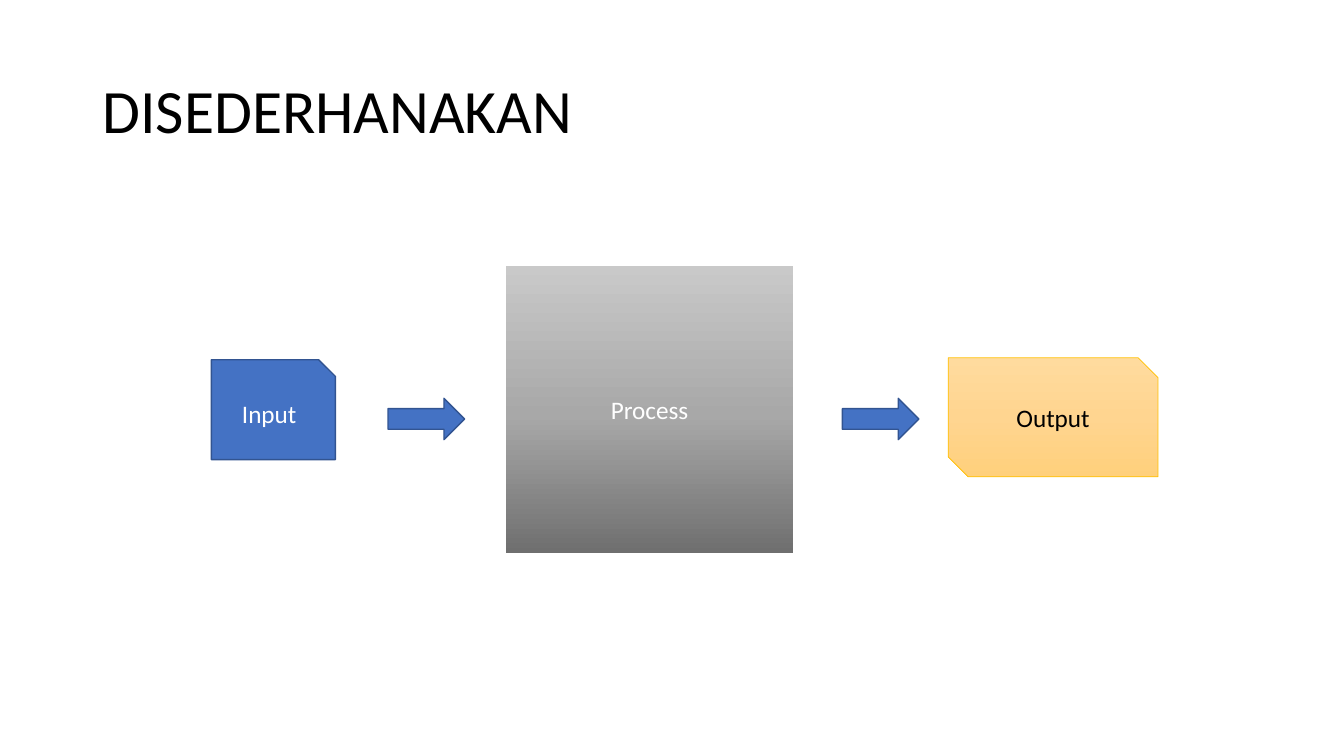
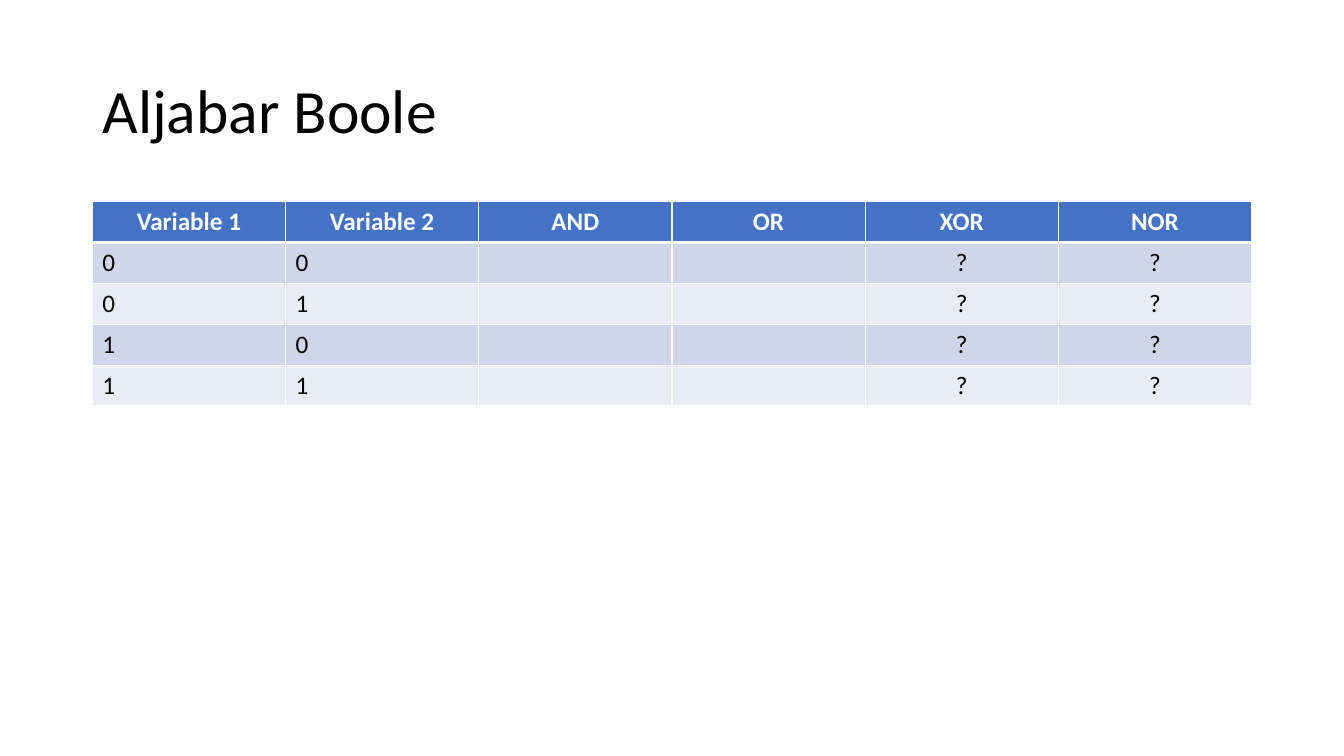
from lxml.etree import SubElement
from pptx import Presentation
from pptx.dml.color import RGBColor
from pptx.enum.shapes import MSO_SHAPE as Shape
from pptx.enum.text import MSO_ANCHOR as Anchor, MSO_AUTO_SIZE as AutoSize, PP_ALIGN as Align
from pptx.oxml.ns import qn
from pptx.util import Pt

FONT = "Calibri"
BLACK = RGBColor(0x00, 0x00, 0x00)
WHITE = RGBColor(0xFF, 0xFF, 0xFF)
BLUE = RGBColor(0x44, 0x72, 0xC4)
DARK_BLUE = RGBColor(0x32, 0x54, 0x91)
GOLD = RGBColor(0xFF, 0xC0, 0x00)
BAND_DARK = RGBColor(0xCF, 0xD5, 0xEA)
BAND_LIGHT = RGBColor(0xE9, 0xEB, 0xF5)
GRAYS = ((0, RGBColor(0x6F, 0x6F, 0x6F)), (48, RGBColor(0xA8, 0xA8, 0xA8)),
         (100, RGBColor(0xC9, 0xC9, 0xC9)))
AMBERS = ((0, RGBColor(0xFF, 0xDB, 0x9E)), (50, RGBColor(0xFF, 0xD5, 0x90)),
          (100, RGBColor(0xFF, 0xD0, 0x7C)))

MARGIN, CONTENT_WIDTH = 66, 828
TITLE_BOX = (MARGIN, 28.75, CONTENT_WIDTH, 104.4)
FLOW_ORIGIN = (151, 190)
TABLE_BOX = (MARGIN, 144, CONTENT_WIDTH, 146)

HEADERS = ("Variable 1", "Variable 2", "AND", "OR", "XOR", "NOR")
TRUTH_ROWS = [(first, second, "", "", "?", "?") for first in "01" for second in "01"]


def write(frame, text, size, color, align, bold=False):
    """Put one formatted paragraph into a text frame."""
    frame.text = text
    para = frame.paragraphs[0]
    para.alignment = align
    for span in para.runs:
        span.font.name = FONT
        span.font.size = Pt(size)
        span.font.bold = bold
        span.font.color.rgb = color
    return para


def add_page(deck, title):
    """Add a page with the shared title style."""
    page = deck.slides.add_slide(deck.slide_layouts[5])
    box = page.shapes.title
    box.left, box.top, box.width, box.height = map(Pt, TITLE_BOX)
    frame = box.text_frame
    frame.auto_size = AutoSize.NONE
    frame.vertical_anchor = Anchor.MIDDLE
    write(frame, title, 44, BLACK, Align.LEFT).line_spacing = 0.9
    return page


def fill_gradient(shape, stops, angle):
    """Fill a shape with colour stops along a counter-clockwise angle."""
    shape.fill.gradient()
    shape.fill.gradient_angle = angle
    stop_list = shape.element.spPr.find(qn("a:gradFill")).find(qn("a:gsLst"))
    for stop in list(stop_list):
        stop_list.remove(stop)
    for percent, color in stops:
        stop = SubElement(stop_list, qn("a:gs"), pos=str(percent * 1000))
        SubElement(stop, qn("a:srgbClr"), val=str(color))


def add_block(page, kind, box, text="", color=WHITE, line=None, line_width=1):
    """Add a blue block with centred text and an optional outline."""
    shape = page.shapes.add_shape(kind, *map(Pt, box))
    shape.shadow.inherit = False
    shape.fill.solid()
    shape.fill.fore_color.rgb = BLUE
    if line is None:
        shape.line.fill.background()
    else:
        shape.line.color.rgb = line
        shape.line.width = Pt(line_width)
    if text:
        shape.text_frame.vertical_anchor = Anchor.MIDDLE
        write(shape.text_frame, text, 18, color, Align.CENTER)
    return shape


def add_flow(page, left, top):
    """Draw the input, process and output chain from its top left corner."""
    add_block(page, Shape.SNIP_1_RECTANGLE, (left, top + 67, 88.6, 71.3),
              "Input", line=DARK_BLUE)
    process = add_block(page, Shape.RECTANGLE, (left + 210.4, top, 205.2, 205.2), "Process")
    fill_gradient(process, GRAYS, 90)
    output = add_block(page, Shape.SNIP_2_DIAG_RECTANGLE, (left + 526.3, top + 65.5, 149.8, 85),
                       "Output", BLACK, GOLD, 0.5)
    fill_gradient(output, AMBERS, 270)
    for offset in (126.2, 450.7):
        add_block(page, Shape.RIGHT_ARROW, (left + offset, top + 94.5, 54.7, 29.5),
                  line=DARK_BLUE)


def add_borders(cell, widths):
    """Draw white cell borders with the given width for each side."""
    properties = cell._tc.get_or_add_tcPr()
    for side, width in widths.items():
        line = SubElement(properties, qn(f"a:ln{side}"), w=str(Pt(width)))
        SubElement(SubElement(line, qn("a:solidFill")), qn("a:srgbClr"), val=str(WHITE))


def add_truth_table(page, left, top, width, height):
    """Fill the given box with the banded truth table."""
    rows = [HEADERS, *TRUTH_ROWS]
    table = page.shapes.add_table(len(rows), len(HEADERS),
                                  *map(Pt, (left, top, width, height))).table
    for column in table.columns:
        column.width = Pt(width / len(HEADERS))
    for row_index, values in enumerate(rows):
        table.rows[row_index].height = Pt(height / len(rows))
        header = row_index == 0
        band = BLUE if header else BAND_DARK if row_index % 2 else BAND_LIGHT
        for column_index, value in enumerate(values):
            cell = table.cell(row_index, column_index)
            add_borders(cell, {"L": 1, "R": 1, "T": 3 if row_index == 1 else 1,
                               "B": 3 if header else 1})
            cell.fill.solid()
            cell.fill.fore_color.rgb = band
            align = Align.CENTER if header or column_index > 1 else Align.LEFT
            write(cell.text_frame, value, 18, WHITE if header else BLACK, align, header)


def main():
    """Build and save the deck."""
    deck = Presentation()
    deck.slide_width, deck.slide_height = Pt(960), Pt(540)
    add_flow(add_page(deck, "DISEDERHANAKAN"), *FLOW_ORIGIN)
    add_truth_table(add_page(deck, "Aljabar Boole"), *TABLE_BOX)
    deck.save("out.pptx")


if __name__ == "__main__":
    main()
